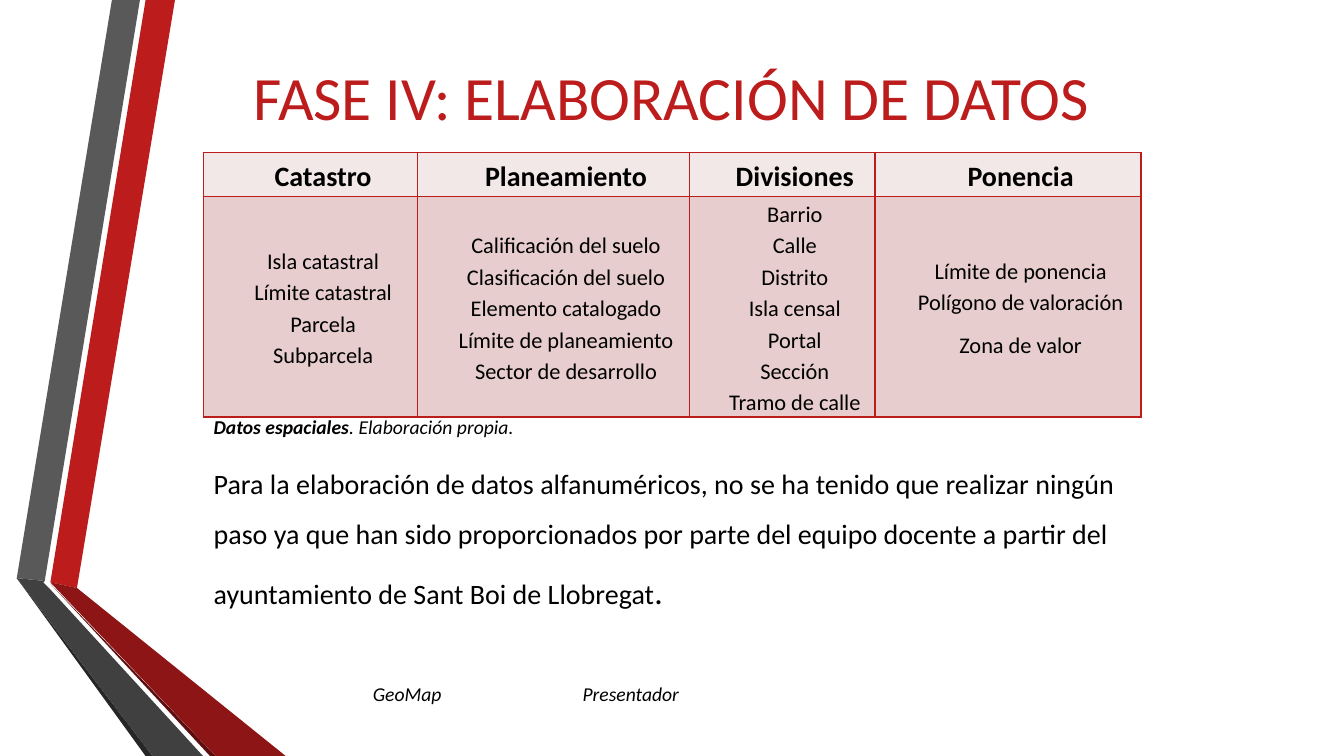
from lxml.etree import SubElement, Element
from pptx import Presentation
from pptx.dml.color import RGBColor
from pptx.enum.text import MSO_ANCHOR as Anchor, PP_ALIGN as Align
from pptx.oxml.ns import qn
from pptx.util import Pt

COLORS = {
    "red": "BC1C1C", "dark_red": "8D1515", "deep_red": "5E0E0E",
    "gray": "595959", "dark_gray": "404040", "deep_gray": "262626",
    "black": "000000", "header": "F3E8E8", "body": "E7CDCD",
}

RIBBONS = [
    ("red", [(36, 416.2), (55.4, 419.8), (124.6, 0), (104.4, 0)]),
    ("gray", [(100.1, 0), (79.9, 0), (11.5, 412.6), (31.7, 415.4)]),
    ("deep_gray", [(11.5, 412.6), (104.4, 540), (108.7, 540)]),
    ("deep_red", [(36, 416.9), (149.8, 540), (154.1, 540)]),
    ("dark_red", [(36, 416.2), (154.1, 540), (203.8, 540), (55.4, 419.8)]),
    ("dark_gray", [(145.4, 540), (34.6, 419.8), (31, 416.2), (31.7, 415.4),
                   (11.5, 412.6), (108.7, 540)]),
]

DATASETS = {
    "Catastro": ["Isla catastral", "Límite catastral", "Parcela", "Subparcela"],
    "Planeamiento": ["Calificación del suelo", "Clasificación del suelo",
                     "Elemento catalogado", "Límite de planeamiento",
                     "Sector de desarrollo"],
    "Divisiones": ["Barrio", "Calle", "Distrito", "Isla censal", "Portal",
                   "Sección", "Tramo de calle"],
    "Ponencia": ["Límite de ponencia", "Polígono de valoración", "Zona de valor"],
}
SPACE_AFTER = {"Polígono de valoración": 8, "Zona de valor": 8}
COLUMN_WIDTHS = [152.6, 194.4, 132.5, 190.1]
ROW_HEIGHTS = [31.7, 153.5]
LEFT, WIDTH = 145.5, 669

TEXTS = [
    ((51.8, 38.2, 856, 60.5), [("FASE IV: ELABORACIÓN DE DATOS", {"size": 44, "color": "red"})],
     {"align": Align.CENTER, "anchor": Anchor.MIDDLE}),
    ((LEFT, 317.5, WIDTH, 118.8),
     [("Para la elaboración de datos alfanuméricos, no se ha tenido que realizar "
       "ningún paso ya que han sido proporcionados por parte del equipo docente a "
       "partir del ayuntamiento de Sant Boi de Llobregat", {"size": 20}),
      (".", {"size": 24})], {"spacing": 1.5}),
    ((LEFT, 293, 395.3, 24.5),
     [("Datos espaciales", {"size": 14, "bold": True, "italic": True}),
      (". Elaboración propia.", {"size": 14, "italic": True})], {}),
    ((409, 483.8, 131, 24.5), [("Presentador", {"size": 14, "italic": True})], {}),
    ((259.2, 483.8, 131, 24.5), [("GeoMap", {"size": 14, "italic": True})], {}),
]


def rgb(name):
    return RGBColor.from_string(COLORS[name])


def add_run(p, text, size=16, color="black", bold=False, italic=False):
    r = p.add_run()
    r.text = text
    r.font.name = "Calibri"
    r.font.size = Pt(size)
    r.font.bold = bold
    r.font.italic = italic
    r.font.color.rgb = rgb(color)


def add_ribbon(s, color, points):
    builder = s.shapes.build_freeform(*points[0], scale=float(Pt(1)))
    builder.add_line_segments(points[1:], close=True)
    sp = builder.convert_to_shape()
    sp.shadow.inherit = False
    sp.fill.solid()
    sp.fill.fore_color.rgb = rgb(color)
    sp.line.fill.background()


def add_text(s, box, runs, align=Align.LEFT, anchor=Anchor.TOP, spacing=1.0):
    tf = s.shapes.add_textbox(*map(Pt, box)).text_frame
    tf.word_wrap = True
    tf.vertical_anchor = anchor
    p = tf.paragraphs[0]
    p.alignment = align
    p.line_spacing = spacing
    for text, style in runs:
        add_run(p, text, **style)


def add_borders(cell):
    tcPr = cell._tc.get_or_add_tcPr()
    for i, side in enumerate(("lnL", "lnR", "lnT", "lnB")):
        ln = Element(qn(f"a:{side}"), w=str(Pt(1)))
        fill = SubElement(ln, qn("a:solidFill"))
        SubElement(fill, qn("a:srgbClr"), val=COLORS["red"])
        tcPr.insert(i, ln)


def fill_cell(cell, lines, fill, **style):
    cell.fill.solid()
    cell.fill.fore_color.rgb = rgb(fill)
    cell.vertical_anchor = Anchor.MIDDLE
    cell.margin_left = cell.margin_right = Pt(5)
    cell.margin_top = cell.margin_bottom = 0
    add_borders(cell)
    tf = cell.text_frame
    for i, line in enumerate(lines):
        p = tf.add_paragraph() if i else tf.paragraphs[0]
        p.alignment = Align.CENTER
        p.line_spacing = 1.15
        p.space_after = Pt(SPACE_AFTER.get(line, 0))
        p._p.get_or_add_pPr().set("marL", str(Pt(18)))
        add_run(p, line, **style)


def add_datasets(s):
    table = s.shapes.add_table(2, len(DATASETS), Pt(LEFT), Pt(108.8), Pt(WIDTH),
                               Pt(sum(ROW_HEIGHTS))).table
    for row, height in zip(table.rows, ROW_HEIGHTS):
        row.height = Pt(height)
    for c, (heading, items) in enumerate(DATASETS.items()):
        table.columns[c].width = Pt(COLUMN_WIDTHS[c])
        fill_cell(table.cell(0, c), [heading], "header", size=20, bold=True)
        fill_cell(table.cell(1, c), items, "body")


def main():
    prs = Presentation()
    prs.slide_width, prs.slide_height = Pt(960), Pt(540)
    s = prs.slides.add_slide(prs.slide_layouts[6])
    for color, points in RIBBONS:
        add_ribbon(s, color, points)
    add_datasets(s)
    for box, runs, layout in TEXTS:
        add_text(s, box, runs, **layout)
    prs.save("out.pptx")


if __name__ == "__main__":
    main()
